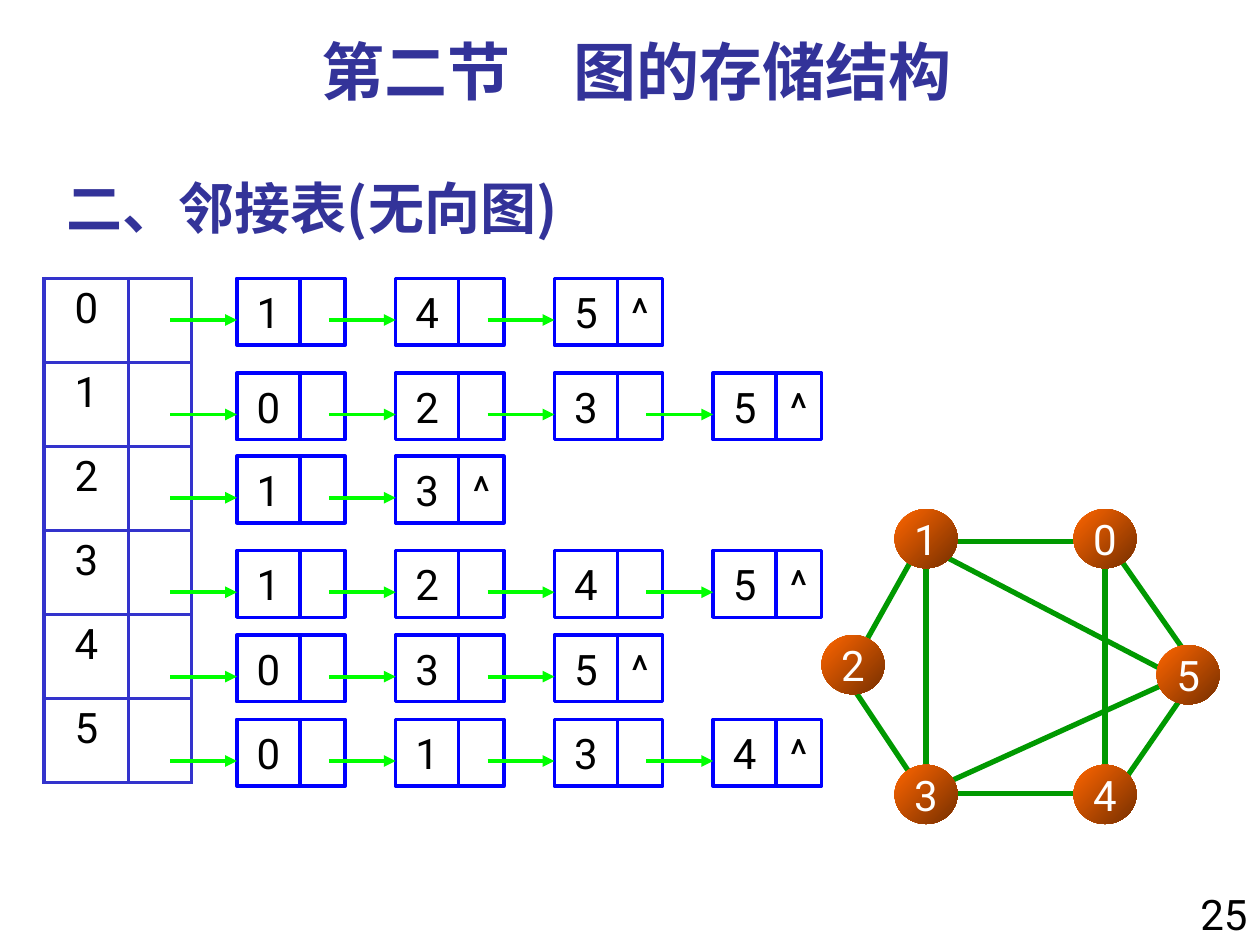
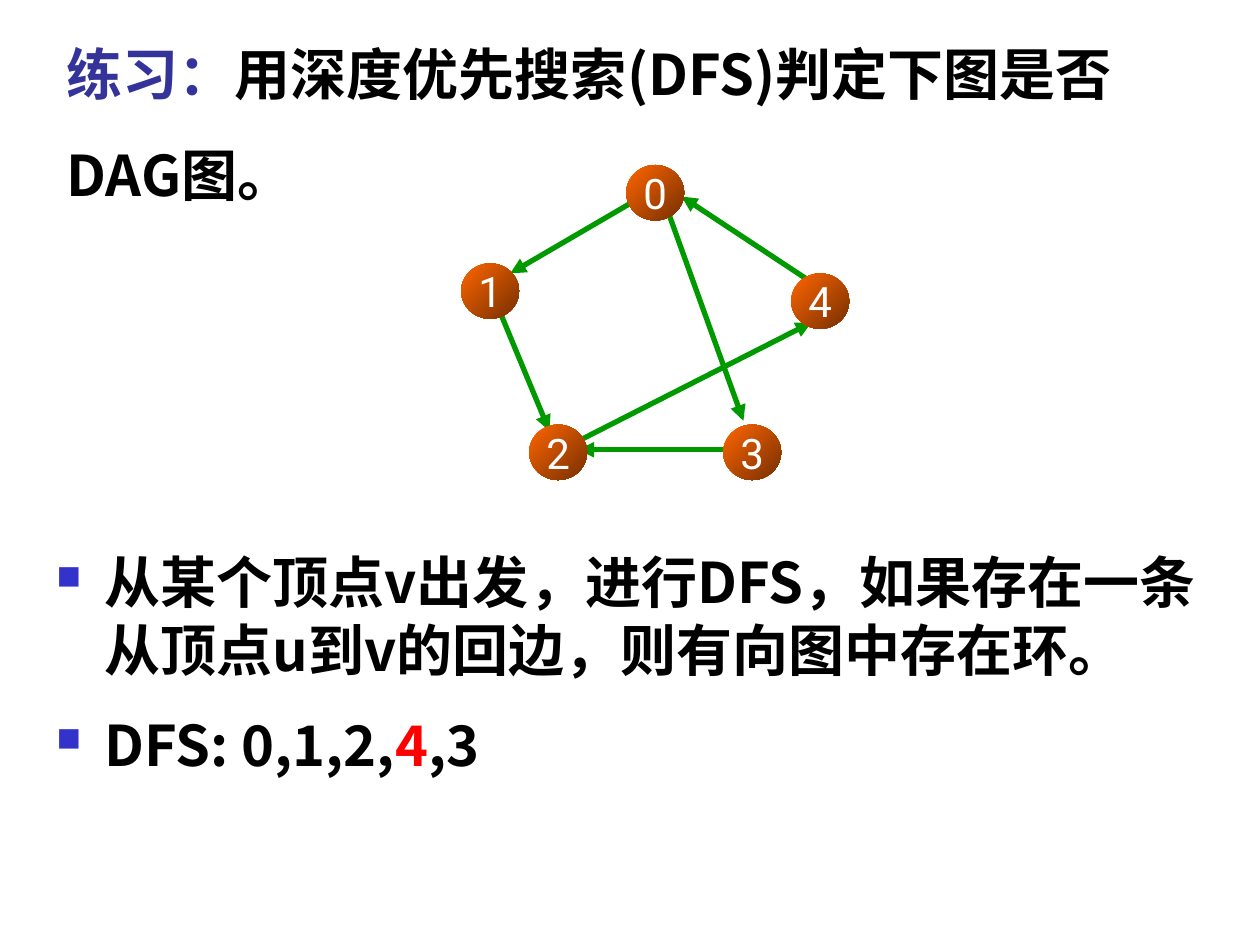
from dataclasses import dataclass
from typing import Optional

import lxml.etree
import pptx
import pptx.dml.color
import pptx.enum.shapes
import pptx.enum.text
import pptx.oxml.ns
import pptx.shapes.autoshape
import pptx.slide
import pptx.text.text
import pptx.util

Inches = pptx.util.Inches
Pt = pptx.util.Pt
ALIGN = pptx.enum.text.PP_ALIGN
ANCHOR = pptx.enum.text.MSO_ANCHOR
SHAPE = pptx.enum.shapes.MSO_SHAPE

LATIN, CHINESE = "Roboto", "Noto Sans CJK SC"
BLACK, WHITE, RED = "000000", "FFFFFF", "FF0000"
TITLE_BLUE, TABLE_BLUE, CELL_BLUE = "333399", "3333CC", "0000FF"
EDGE_GREEN, POINTER_GREEN = "009900", "00FF00"
VERTEX_LIGHT, VERTEX_DARK = "FF6600", "762F00"


@dataclass(frozen=True)
class Style:
    size: float
    color: str = BLACK
    font: str = LATIN
    bold: bool = False


@dataclass(frozen=True)
class Box:
    left: float
    top: float
    width: float
    height: float


@dataclass(frozen=True)
class Span:
    text: str
    color: Optional[str] = None


@dataclass(frozen=True)
class Vertex:
    label: str
    left: float
    top: float


@dataclass(frozen=True)
class Edge:
    x1: float
    y1: float
    x2: float
    y2: float


@dataclass(frozen=True)
class Graph:
    edges: list[Edge]
    vertices: list[Vertex]
    width: float
    height: float
    directed: bool


@dataclass(frozen=True)
class AdjacencyList:
    top: float
    neighbours: str


NUMBER = Style(24)
VERTEX_LABEL = Style(24, WHITE)
SECTION = Style(36, TITLE_BLUE, bold=True)
HEADING = Style(32, TITLE_BLUE, CHINESE, True)
BODY = Style(32, BLACK, CHINESE, True)

HEAD_TABLE = Box(0.35, 2.21, 1.17, 4)
LIST_LEFT, LIST_PITCH = 1.88, 1.26
VALUE_WIDTH, LINK_WIDTH, CELL_HEIGHT = 0.5, 0.36, 0.53
POINTER_LENGTH, POINTER_DROP = 0.53, 0.33

ADJACENCY = [
    AdjacencyList(2.21, "145"),
    AdjacencyList(2.96, "0235"),
    AdjacencyList(3.62, "13"),
    AdjacencyList(4.37, "1245"),
    AdjacencyList(5.04, "035"),
    AdjacencyList(5.71, "0134"),
]

UNDIRECTED = Graph(
    [
        Edge(8.6, 4.3, 7.6, 4.3),
        Edge(8.77, 4.46, 8.77, 6.13),
        Edge(8.85, 4.38, 9.43, 5.21),
        Edge(7.27, 4.38, 6.85, 5.13),
        Edge(7.35, 6.21, 7.35, 4.46),
        Edge(9.35, 5.38, 7.43, 4.38),
        Edge(7.27, 6.21, 6.77, 5.46),
        Edge(8.68, 6.3, 7.43, 6.3),
        Edge(9.35, 5.38, 7.52, 6.21),
        Edge(9.43, 5.46, 8.85, 6.3),
    ],
    [
        Vertex("1", 7.1, 4.04),
        Vertex("3", 7.1, 6.07),
        Vertex("2", 6.52, 5.04),
        Vertex("5", 9.18, 5.12),
        Vertex("4", 8.52, 6.07),
        Vertex("0", 8.52, 4.04),
    ],
    0.5, 0.47, False,
)

DIRECTED = Graph(
    [
        Edge(6.41, 2.22, 5.41, 1.56),
        Edge(3.97, 2.48, 4.36, 3.42),
        Edge(5.13, 1.54, 4.05, 2.17),
        Edge(5.28, 1.62, 5.9, 3.34),
        Edge(5.74, 3.57, 4.59, 3.57),
        Edge(4.59, 3.5, 6.44, 2.56),
    ],
    [
        Vertex("1", 3.66, 2.09),
        Vertex("3", 5.74, 3.37),
        Vertex("2", 4.2, 3.37),
        Vertex("4", 6.28, 2.17),
        Vertex("0", 4.97, 1.31),
    ],
    0.46, 0.44, True,
)

CONCLUSIONS = [
    [Span("从某个顶点v出发，进行DFS，如果存在一条从顶点u到v的回边，则有向图中存在环。")],
    [Span("DFS: 0,1,2,"), Span("4", RED), Span(",3")],
]


def rgb(color: str) -> pptx.dml.color.RGBColor:
    return pptx.dml.color.RGBColor.from_string(color)


def child(parent, tag: str, **attributes: str):
    return lxml.etree.SubElement(parent, pptx.oxml.ns.qn(tag), attributes)


def place(box: Box) -> tuple:
    return Inches(box.left), Inches(box.top), Inches(box.width), Inches(box.height)


def write(para: pptx.text.text._Paragraph, spans: list[Span], style: Style, align=ALIGN.LEFT) -> None:
    para.alignment = align
    para.font.size = Pt(style.size)
    para.font.bold = style.bold
    para.font.color.rgb = rgb(style.color)
    para.font.name = style.font
    east_asian = para._p.pPr.find(pptx.oxml.ns.qn("a:defRPr"))
    child(east_asian, "a:ea", typeface=style.font)
    for span in spans:
        run = para.add_run()
        run.text = span.text
        if span.color:
            run.font.color.rgb = rgb(span.color)


def add_text(page: pptx.slide.Slide, box: Box, anchor=ANCHOR.TOP) -> pptx.text.text.TextFrame:
    frame = page.shapes.add_textbox(*place(box)).text_frame
    frame.word_wrap = True
    frame.vertical_anchor = anchor
    return frame


def add_line(page: pptx.slide.Slide, edge: Edge, color: str, width: float, arrow: bool) -> None:
    ends = (Inches(value) for value in (edge.x1, edge.y1, edge.x2, edge.y2))
    line = page.shapes.add_connector(pptx.enum.shapes.MSO_CONNECTOR.STRAIGHT, *ends)
    line.line.color.rgb = rgb(color)
    line.line.width = Pt(width)
    if arrow:
        child(line.line._get_or_add_ln(), "a:tailEnd", type="triangle")
    child(line._element.spPr, "a:effectLst")


def add_shape(page: pptx.slide.Slide, kind: SHAPE, box: Box, label: str, style: Style) -> pptx.shapes.autoshape.Shape:
    shape = page.shapes.add_shape(kind, *place(box))
    shape.shadow.inherit = False
    shape.text_frame.vertical_anchor = ANCHOR.MIDDLE
    if label:
        write(shape.text_frame.paragraphs[0], [Span(label)], style, ALIGN.CENTER)
    return shape


def add_vertex(page: pptx.slide.Slide, vertex: Vertex, width: float, height: float) -> None:
    box = Box(vertex.left, vertex.top, width, height)
    shape = add_shape(page, SHAPE.OVAL, box, vertex.label, VERTEX_LABEL)
    shape.fill.gradient()
    shape.fill.gradient_angle = 315
    for stop, color, position in zip(shape.fill.gradient_stops, (VERTEX_LIGHT, VERTEX_DARK), (0, 1)):
        stop.color.rgb = rgb(color)
        stop.position = position
    shape.line.fill.background()
    shape.text_frame.word_wrap = False
    shape.text_frame.margin_left = shape.text_frame.margin_right = 0


def add_graph(page: pptx.slide.Slide, graph: Graph) -> None:
    for edge in graph.edges:
        add_line(page, edge, EDGE_GREEN, 3, graph.directed)
    for vertex in graph.vertices:
        add_vertex(page, vertex, graph.width, graph.height)


def add_list_cell(page: pptx.slide.Slide, box: Box, label: str) -> None:
    cell = add_shape(page, SHAPE.RECTANGLE, box, label, NUMBER)
    cell.fill.background()
    cell.line.color.rgb = rgb(CELL_BLUE)
    cell.line.width = Pt(2)


def add_adjacency_list(page: pptx.slide.Slide, adjacency: AdjacencyList) -> None:
    last = len(adjacency.neighbours) - 1
    pointer_y = adjacency.top + POINTER_DROP
    for index, neighbour in enumerate(adjacency.neighbours):
        left = LIST_LEFT + index * LIST_PITCH
        add_list_cell(page, Box(left, adjacency.top, VALUE_WIDTH, CELL_HEIGHT), neighbour)
        link = Box(left + VALUE_WIDTH, adjacency.top, LINK_WIDTH, CELL_HEIGHT)
        add_list_cell(page, link, "^" if index == last else "")
        pointer = Edge(left - POINTER_LENGTH, pointer_y, left, pointer_y)
        add_line(page, pointer, POINTER_GREEN, 2.25, True)


def add_head_table(page: pptx.slide.Slide) -> None:
    table = page.shapes.add_table(len(ADJACENCY), 2, *place(HEAD_TABLE)).table
    table.first_row = table.horz_banding = False
    for column, width in zip(table.columns, (0.67, 0.5)):
        column.width = Inches(width)
    for cell in table.iter_cells():
        properties = cell._tc.get_or_add_tcPr()
        for side in "LRTB":
            border = child(properties, f"a:ln{side}", w=str(Pt(2.25)))
            child(child(border, "a:solidFill"), "a:srgbClr", val=TABLE_BLUE)
        cell.fill.background()
    for index in range(len(ADJACENCY)):
        para = table.cell(index, 0).text_frame.paragraphs[0]
        write(para, [Span(str(index))], NUMBER, ALIGN.CENTER)


def add_bullets(page: pptx.slide.Slide, box: Box, items: list[list[Span]]) -> None:
    frame = add_text(page, box)
    for index, spans in enumerate(items):
        para = frame.add_paragraph() if index else frame.paragraphs[0]
        if index:
            para.space_before = Pt(16)
        properties = para._p.get_or_add_pPr()
        properties.set("marL", str(Inches(0.38)))
        properties.set("indent", str(-Inches(0.38)))
        child(child(properties, "a:buClr"), "a:srgbClr", val=TABLE_BLUE)
        child(properties, "a:buSzPct", val="60000")
        child(properties, "a:buChar", char="■")
        write(para, spans, BODY)


def build_adjacency_page(page: pptx.slide.Slide) -> None:
    heading = add_text(page, Box(0.43, 1.21, 7.25, 0.75), ANCHOR.BOTTOM)
    write(heading.paragraphs[0], [Span("二、邻接表(无向图)")], HEADING)
    page_number = add_text(page, Box(9.33, 7, 0.67, 0.5))
    write(page_number.paragraphs[0], [Span("25")], NUMBER, ALIGN.RIGHT)
    section = add_text(page, Box(0.43, 0.21, 9.25, 0.7))
    write(section.paragraphs[0], [Span("第二节　图的存储结构")], SECTION, ALIGN.CENTER)
    add_graph(page, UNDIRECTED)
    add_head_table(page)
    for adjacency in ADJACENCY:
        add_adjacency_list(page, adjacency)


def build_exercise_page(page: pptx.slide.Slide) -> None:
    add_bullets(page, Box(0.35, 4.3, 9.53, 1.97), CONCLUSIONS)
    add_graph(page, DIRECTED)
    question = add_text(page, Box(0.43, 0.13, 8.98, 1.57), ANCHOR.BOTTOM).paragraphs[0]
    question.line_spacing = 1.5
    spans = [Span("练习："), Span("用深度优先搜索(DFS)判定下图是否DAG图。", BLACK)]
    write(question, spans, HEADING)


def main() -> None:
    deck = pptx.Presentation()
    deck.slide_width, deck.slide_height = Inches(10), Inches(7.5)
    for build in (build_adjacency_page, build_exercise_page):
        build(deck.slides.add_slide(deck.slide_layouts[6]))
    deck.save("out.pptx")


if __name__ == "__main__":
    main()
